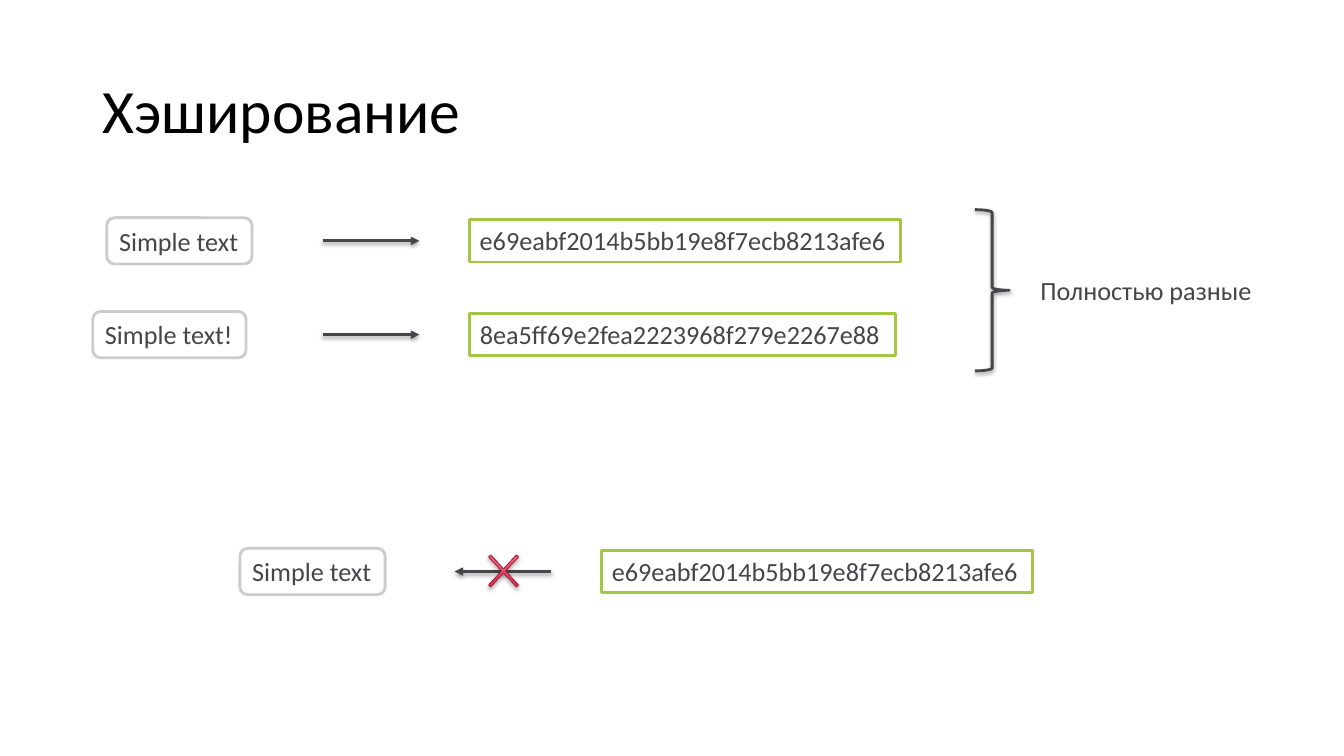
"""Build the hashing slide: texts, their hashes and the blocked way back."""
from typing import NamedTuple

from lxml.etree import SubElement
from pptx import Presentation
from pptx.dml.color import RGBColor
from pptx.enum.shapes import MSO_CONNECTOR, MSO_SHAPE
from pptx.enum.text import MSO_ANCHOR, MSO_AUTO_SIZE, PP_ALIGN
from pptx.oxml.ns import qn
from pptx.util import Inches, Pt

BLACK = RGBColor(0x00, 0x00, 0x00)
WHITE = RGBColor(0xFF, 0xFF, 0xFF)
INK = RGBColor(0x46, 0x45, 0x47)
GRAY = RGBColor(0xCC, 0xCC, 0xCC)
GREEN = RGBColor(0xA3, 0xC6, 0x44)
CRIMSON = RGBColor(0xC7, 0x12, 0x3A)
PINK = RGBColor(0xFF, 0x9C, 0xA5)
DARK_RED = RGBColor(0xB1, 0x23, 0x43)

FONT = "Calibri"
ARROW_LENGTH = 0.96
PLAIN_HEIGHT = 0.46
HASH_HEIGHT = 0.42


class HashRow(NamedTuple):
    y: float
    plain: str
    plain_left: float
    plain_width: float
    digest: str
    digest_left: float
    digest_width: float
    arrow_start: float
    direction: int


ROWS = [
    HashRow(2.39, "Simple text", 1.06, 1.44,
            "e69eabf2014b5bb19e8f7ecb8213afe6", 4.66, 4.27, 3.2, 1),
    HashRow(3.32, "Simple text!", 0.92, 1.52,
            "8ea5ff69e2fea2223968f279e2267e88", 4.66, 4.22, 3.2, 1),
    HashRow(5.67, "Simple text", 2.38, 1.44,
            "e69eabf2014b5bb19e8f7ecb8213afe6", 5.97, 4.27, 5.47, -1),
]


def add_shadow(sp, alpha: int = 38, dist: float = 1.6) -> None:
    effects = SubElement(sp._element.spPr, qn("a:effectLst"))
    shadow = SubElement(effects, qn("a:outerShdw"), blurRad=str(Pt(3.1)),
                        dist=str(Pt(dist)), dir="5400000", rotWithShape="0")
    color = SubElement(shadow, qn("a:srgbClr"), val=str(BLACK))
    SubElement(color, qn("a:alpha"), val=str(alpha * 1000))


def set_text(sp, text: str, *, size: float = 18.7, color: RGBColor = INK,
             wrap: bool = False, anchor: MSO_ANCHOR = MSO_ANCHOR.TOP,
             spacing: float = 1.0) -> None:
    tf = sp.text_frame
    tf.word_wrap = wrap
    tf.auto_size = MSO_AUTO_SIZE.NONE if wrap else MSO_AUTO_SIZE.SHAPE_TO_FIT_TEXT
    tf.vertical_anchor = anchor
    p = tf.paragraphs[0]
    p.alignment = PP_ALIGN.LEFT
    p.line_spacing = spacing
    r = p.add_run()
    r.text = text
    r.font.name = FONT
    r.font.size = Pt(size)
    r.font.color.rgb = color


def add_label(s, left: float, top: float, width: float, height: float,
              text: str, **text_format) -> None:
    sp = s.shapes.add_textbox(Inches(left), Inches(top), Inches(width), Inches(height))
    set_text(sp, text, **text_format)


def add_outline(s, kind: MSO_SHAPE, left: float, top: float, width: float,
                height: float, line: RGBColor, weight: float = 2):
    sp = s.shapes.add_shape(kind, Inches(left), Inches(top), Inches(width), Inches(height))
    sp.line.color.rgb = line
    sp.line.width = Pt(weight)
    return sp


def add_box(s, kind: MSO_SHAPE, left: float, middle: float, width: float,
            height: float, line: RGBColor, text: str) -> None:
    sp = add_outline(s, kind, left, middle - height / 2, width, height, line)
    sp.shadow.inherit = False
    sp.fill.solid()
    sp.fill.fore_color.rgb = WHITE
    set_text(sp, text)


def add_arrow(s, start: float, y: float, direction: int) -> None:
    end = start + direction * ARROW_LENGTH
    line = s.shapes.add_connector(MSO_CONNECTOR.STRAIGHT, Inches(start), Inches(y),
                                  Inches(end), Inches(y))
    line.line.color.rgb = INK
    line.line.width = Pt(2)
    SubElement(line.line._get_or_add_ln(), qn("a:tailEnd"), type="triangle")
    add_shadow(line)


def add_row(s, row: HashRow) -> None:
    add_box(s, MSO_SHAPE.ROUNDED_RECTANGLE, row.plain_left, row.y, row.plain_width,
            PLAIN_HEIGHT, GRAY, row.plain)
    add_box(s, MSO_SHAPE.RECTANGLE, row.digest_left, row.y, row.digest_width,
            HASH_HEIGHT, GREEN, row.digest)
    add_arrow(s, row.arrow_start, row.y, row.direction)


def add_brace(s) -> None:
    sp = add_outline(s, MSO_SHAPE.RIGHT_BRACE, 9.67, 2.08, 0.34, 1.6, INK)
    sp.fill.background()
    add_shadow(sp)


def add_cross(s) -> None:
    sp = add_outline(s, MSO_SHAPE.MATH_MULTIPLY, 4.73, 5.38, 0.53, 0.57, DARK_RED, 0.75)
    sp.adjustments[0] = 0.05
    sp.fill.gradient()
    sp.fill.gradient_angle = 90
    for stop, color in zip(sp.fill.gradient_stops, (CRIMSON, PINK)):
        stop.color.rgb = color
    add_shadow(sp, alpha=35, dist=1.8)


def main() -> None:
    prs = Presentation()
    prs.slide_width = Inches(13.33)
    prs.slide_height = Inches(7.5)
    s = prs.slides.add_slide(prs.slide_layouts[6])
    add_label(s, 0.92, 0.4, 11.5, 1.45, "Хэширование", size=44, color=BLACK,
              wrap=True, anchor=MSO_ANCHOR.MIDDLE, spacing=0.9)
    for row in ROWS:
        add_row(s, row)
    add_brace(s)
    add_label(s, 10.22, 2.67, 2.31, 0.42, "Полностью разные")
    add_cross(s)
    prs.save("out.pptx")


if __name__ == "__main__":
    main()
